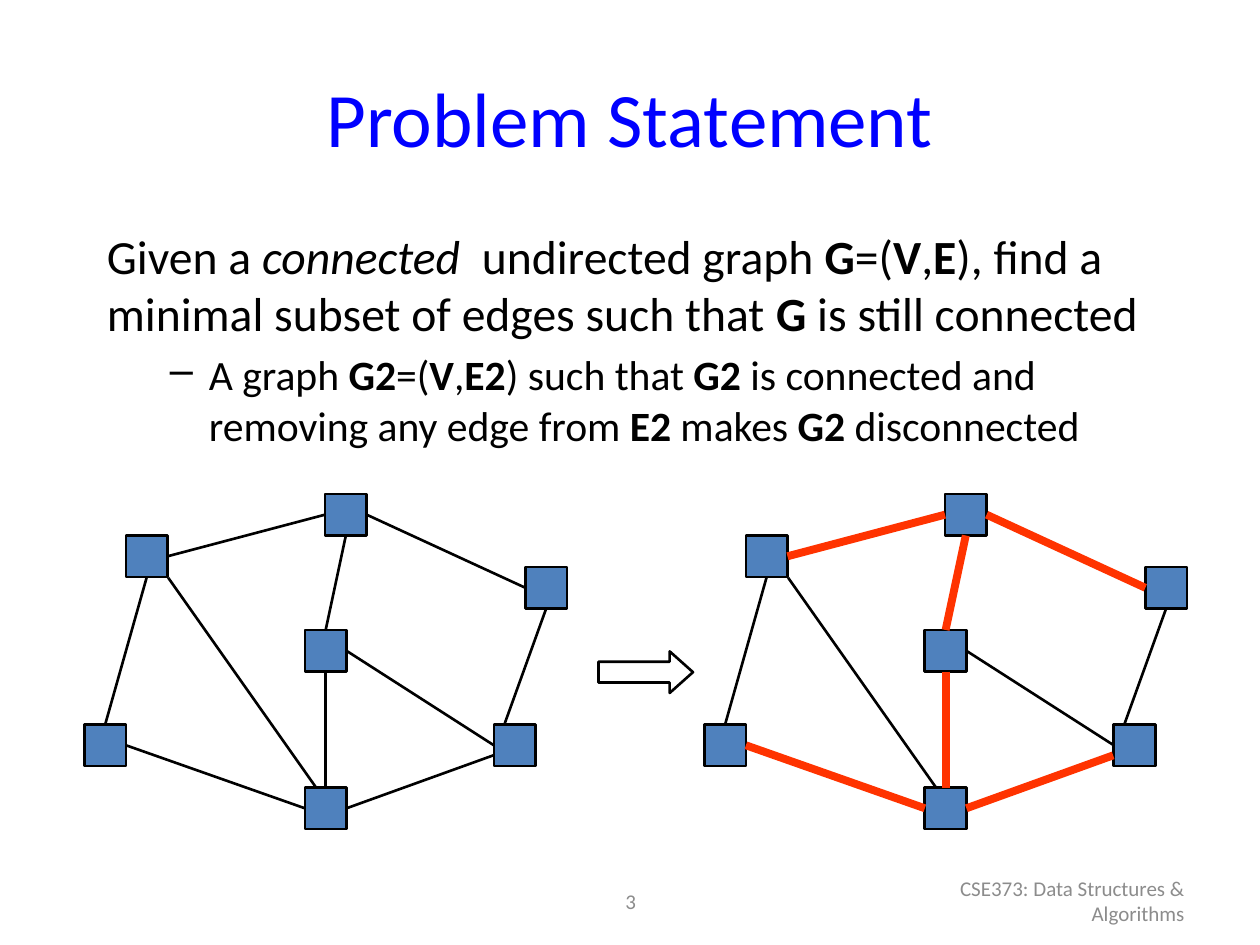
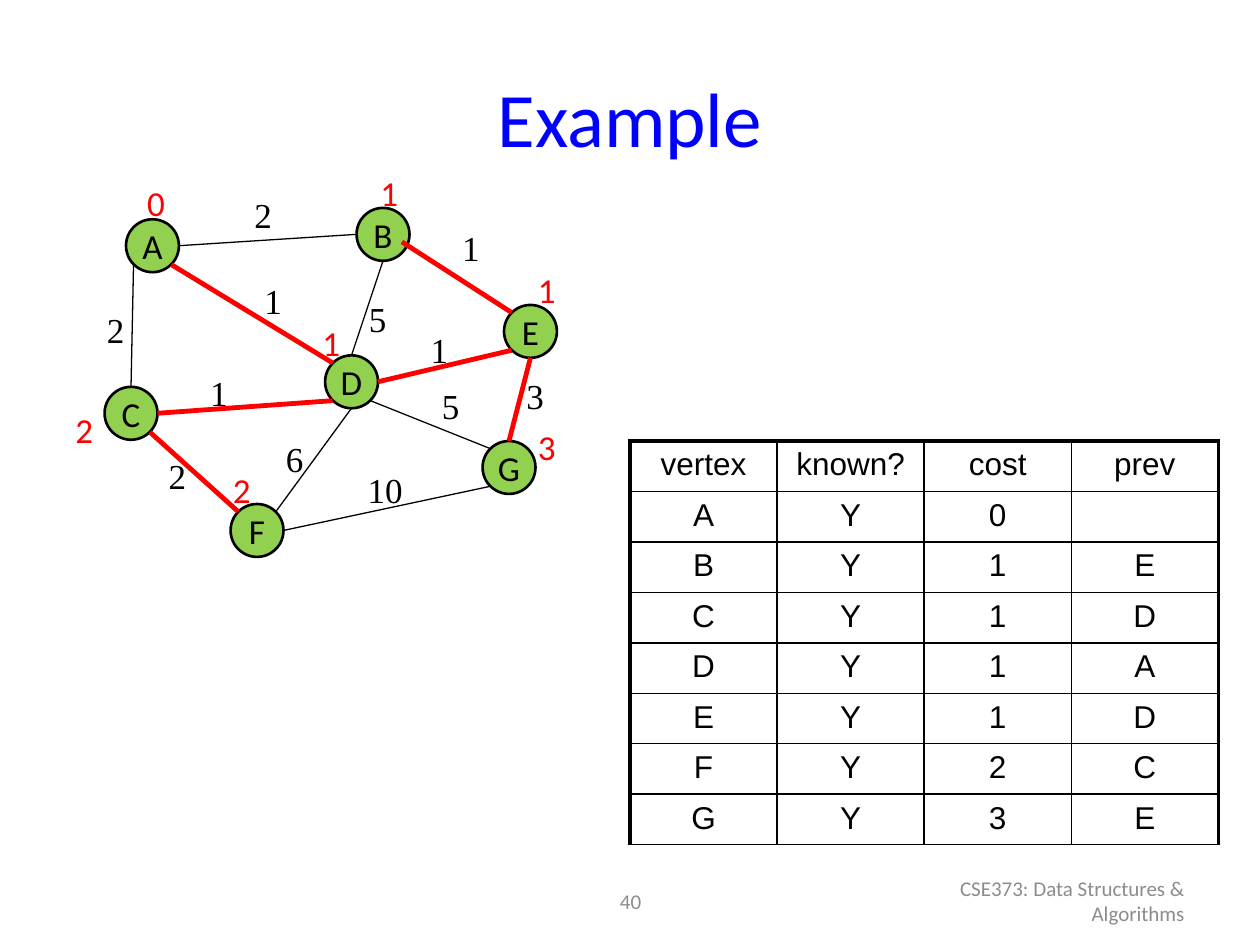
"""Builds two slides on minimum spanning trees."""
from lxml import etree
from pptx import Presentation
from pptx.dml.color import RGBColor
from pptx.enum import shapes, text
from pptx.oxml import ns
from pptx.util import Inches, Pt

BLACK = RGBColor(0, 0, 0)
WHITE = RGBColor(255, 255, 255)
TITLE = RGBColor(0, 0, 255)
GREY = RGBColor(0x8C, 0x8C, 0x8C)
STEEL = RGBColor(0x4F, 0x81, 0xBD)
GREEN = RGBColor(0x92, 0xD0, 0x50)
RED = RGBColor(255, 0, 0)
FLAME = RGBColor(0xFF, 0x33, 0)

LEFT, MID, RIGHT = text.PP_ALIGN.LEFT, text.PP_ALIGN.CENTER, text.PP_ALIGN.RIGHT
FORM = shapes.MSO_SHAPE
COURSE = "CSE373: Data Structures & Algorithms"

SIDE = 0.33
SHIFT = 4.92
UP, WEST, DOWN, EAST = range(4)
SQUARES = {
    "west": (1, 4.25), "low": (0.67, 5.75), "base": (2.42, 6.25), "south": (3.92, 5.75),
    "core": (2.42, 5), "top": (2.58, 3.92), "east": (4.17, 4.5),
}
LINKS = [
    ("west", EAST, "top", WEST, True), ("top", DOWN, "core", UP, True),
    ("top", EAST, "east", WEST, True), ("core", EAST, "south", WEST, False),
    ("east", DOWN, "south", (-0.08, -0.17), False), ("core", DOWN, "base", UP, True),
    ("base", EAST, "south", (-0.17, 0.08), True), ("low", EAST, "base", WEST, True),
    ("west", DOWN, "low", UP, False), ("west", (0.17, 0.17), "base", (-0.08, -0.17), False),
]

DISC = 0.42
RIM, DIAG = DISC / 2, 0.15
RING = {
    "n": (0, -RIM), "s": (0, RIM), "w": (-RIM, 0), "e": (RIM, 0), "in": (DIAG, 0.06),
    "nw": (-DIAG, -DIAG), "ne": (DIAG, -DIAG), "sw": (-DIAG, DIAG), "se": (DIAG, DIAG),
}
NODES = {
    "A": (1, 1.74), "B": (2.83, 1.65), "C": (0.83, 3.07), "D": (2.58, 2.82),
    "F": (1.83, 4), "E": (4, 2.42), "G": (3.83, 3.5),
}
EDGES = [
    ("A", "sw", "C", "n", False), ("B", "w", "A", "e", False), ("D", "n", "B", "s", False),
    ("A", "se", "D", "nw", True), ("C", "e", "D", "sw", True), ("E", "sw", "D", "e", True),
    ("C", "se", "F", "nw", True), ("D", "s", "F", "ne", False), ("D", "se", "G", "nw", False),
    ("G", "n", "E", "s", True), ("F", "e", "G", "sw", False), ("B", "in", "E", "nw", True),
]
COSTS = [
    ("0", 1.07, 1.39), ("1", 2.92, 1.31), ("2", 1.75, 3.67), ("2", 0.5, 3.19),
    ("1", 2.46, 2.5), ("1", 4.17, 2.08), ("3", 4.17, 3.33),
]
WEIGHTS = [
    ("2", 1.92, 1.49), ("1", 2, 2.17), ("2", 0.75, 2.4), ("5", 2.83, 2.31),
    ("1", 1.57, 2.9), ("1", 3.32, 2.56), ("1", 3.57, 1.75), ("2", 1.24, 3.56),
    ("6", 2.17, 3.42), ("5", 3.41, 3), ("3", 4.08, 2.92), ("10", 2.82, 3.67),
]
ROWS = [
    ("vertex", "known?", "cost", "prev"), ("A", "Y", "0", ""), ("B", "Y", "1", "E"),
    ("C", "Y", "1", "D"), ("D", "Y", "1", "A"), ("E", "Y", "1", "D"),
    ("F", "Y", "2", "C"), ("G", "Y", "3", "E"),
]


class Deck:
    """Holds the presentation, its style and the current slide."""

    def __init__(self):
        self.prs = Presentation()
        self.prs.slide_width, self.prs.slide_height = Inches(10), Inches(7.5)
        self.slide = None

    def page(self, title, number):
        """Start a slide with its title and footers."""
        self.slide = self.prs.slides.add_slide(self.prs.slide_layouts[6])
        self.label(title, (0.5, 0.3, 9, 1.25), 44, TITLE, MID)
        self.label(number, (3.42, 6.95, 3.17, 0.4), 12, GREY, MID)
        self.label(COURSE, (7.17, 6.95, 2.33, 0.4), 12, GREY, RIGHT)

    def style(self, para, size, color, align=LEFT, font="Calibri"):
        """Format a paragraph and its runs."""
        para.alignment = align
        for run in para.runs:
            run.font.size, run.font.name = Pt(size), font
            run.font.color.rgb = color

    def frame(self, box):
        """Add a wrapping text box and return its frame."""
        frame = self.slide.shapes.add_textbox(*map(Inches, box)).text_frame
        frame.word_wrap = True
        return frame

    def label(self, words, box, size, color, align):
        """Add one vertically centred line of text."""
        frame = self.frame(box)
        frame.vertical_anchor = text.MSO_ANCHOR.MIDDLE
        frame.text = words
        self.style(frame.paragraphs[0], size, color, align)

    def tag(self, words, left, top, color, font):
        """Add a small number beside a node or an edge."""
        frame = self.frame((left, top, 0.2 + 0.14 * len(words), 0.44))
        frame.word_wrap = False
        frame.auto_size = text.MSO_AUTO_SIZE.SHAPE_TO_FIT_TEXT
        frame.text = words
        self.style(frame.paragraphs[0], 20, color, font=font)

    def rich(self, para, words, size):
        """Fill a paragraph, with *bold* and _italic_ marks."""
        for i, part in enumerate(words.split("*")):
            for j, piece in enumerate(part.split("_")):
                run = para.add_run()
                run.text = piece
                run.font.bold, run.font.italic = i % 2 == 1, j % 2 == 1
        self.style(para, size, BLACK)

    def dash(self, para):
        """Indent a paragraph behind a dash."""
        props = para._p.get_or_add_pPr()
        props.set("marL", str(Inches(0.81)))
        props.set("indent", str(Inches(-0.31)))
        etree.SubElement(props, ns.qn("a:buChar")).set("char", "–")

    def shape(self, form, box, fill, words=""):
        """Add a filled shape with a black outline."""
        item = self.slide.shapes.add_shape(form, *map(Inches, box))
        item.shadow.inherit = False
        item.fill.solid()
        item.fill.fore_color.rgb = fill
        item.line.color.rgb, item.line.width = BLACK, Pt(1.5)
        if words:
            frame = item.text_frame
            frame.text, frame.word_wrap = words, False
            frame.vertical_anchor = text.MSO_ANCHOR.MIDDLE
            self.style(frame.paragraphs[0], 20, BLACK, MID)
        return item

    def spot(self, item, site):
        """Give the point at an offset from a shape's centre."""
        dx, dy = (0, 0) if isinstance(site, int) else site
        return (item.left + item.width // 2 + Inches(dx),
                item.top + item.height // 2 + Inches(dy))

    def edge(self, first, start, last, end, color, width):
        """Join two shapes, each at a side number or a centre offset."""
        line = self.slide.shapes.add_connector(
            shapes.MSO_CONNECTOR.STRAIGHT, *self.spot(first, start), *self.spot(last, end))
        if isinstance(start, int):
            line.begin_connect(first, start)
        if isinstance(end, int):
            line.end_connect(last, end)
        line.line.color.rgb, line.line.width = color, Pt(width)
        etree.SubElement(line._element.spPr, ns.qn("a:effectLst"))

    def border(self, cell, widths):
        """Draw the left, right, top and bottom borders of a cell."""
        props = cell._tc.get_or_add_tcPr()
        for side, width in zip("LRTB", widths):
            line = etree.SubElement(props, ns.qn("a:ln" + side), w=str(Pt(width)))
            fill = etree.SubElement(line, ns.qn("a:solidFill"))
            etree.SubElement(fill, ns.qn("a:srgbClr"), val=str(BLACK))

    def table(self, rows, box):
        """Add a ruled table with a heavier left, right and top edge."""
        wide = len(rows[0])
        grid = self.slide.shapes.add_table(len(rows), wide, *map(Inches, box)).table
        grid.first_row = grid.horz_banding = False
        for r, row in enumerate(rows):
            for c, words in enumerate(row):
                cell = grid.cell(r, c)
                cell.text = words
                self.style(cell.text_frame.paragraphs[0], 18, BLACK, MID, "Arial")
                heavy = (c == 0, c == wide - 1, r == 0, False)
                self.border(cell, [2.25 if side else 1 for side in heavy])
                cell.fill.background()


def graph(deck, shift, tree):
    """Draw the square graph, with its spanning tree marked if asked."""
    nodes = {name: deck.shape(FORM.RECTANGLE, (x + shift, y, SIDE, SIDE), STEEL)
             for name, (x, y) in SQUARES.items()}
    for first, start, last, end, kept in LINKS:
        look = (FLAME, 4.5) if tree and kept else (BLACK, 1.5)
        deck.edge(nodes[first], start, nodes[last], end, *look)


def problem(deck):
    """Build the problem statement slide."""
    deck.page("Problem Statement", "3")
    frame = deck.frame((0.75, 1.75, 8.67, 2))
    deck.rich(frame.paragraphs[0], "Given a _connected_  undirected graph *G*=(*V*,*E*), find a "
              "minimal subset of edges such that *G* is still connected", 27.2)
    para = frame.add_paragraph()
    deck.rich(para, "A graph *G2*=(*V*,*E2*) such that *G2* is connected and "
              "removing any edge from *E2* makes *G2* disconnected", 23.8)
    para.space_before = Pt(4.8)
    deck.dash(para)
    graph(deck, 0, False)
    graph(deck, SHIFT, True)
    arrow = deck.shape(FORM.RIGHT_ARROW, (4.75, 5.17, 0.75, SIDE), WHITE)
    arrow.adjustments[1] = 0.56


def example(deck):
    """Build the worked example slide."""
    deck.page("Example", "40")
    nodes = {name: deck.shape(FORM.OVAL, (x, y, DISC, DISC), GREEN, name)
             for name, (x, y) in NODES.items()}
    for first, start, last, end, kept in EDGES:
        look = (RED, 2.75) if kept else (BLACK, 0.75)
        deck.edge(nodes[first], RING[start], nodes[last], RING[end], *look)
    for cost in COSTS:
        deck.tag(*cost, RED, "Calibri")
    for weight in WEIGHTS:
        deck.tag(*weight, BLACK, "Times New Roman")
    deck.table(ROWS, (5, 3.5, 4.67, 3.2))


def main():
    """Build and save the slides."""
    deck = Deck()
    problem(deck)
    example(deck)
    deck.prs.save("out.pptx")


if __name__ == "__main__":
    main()
